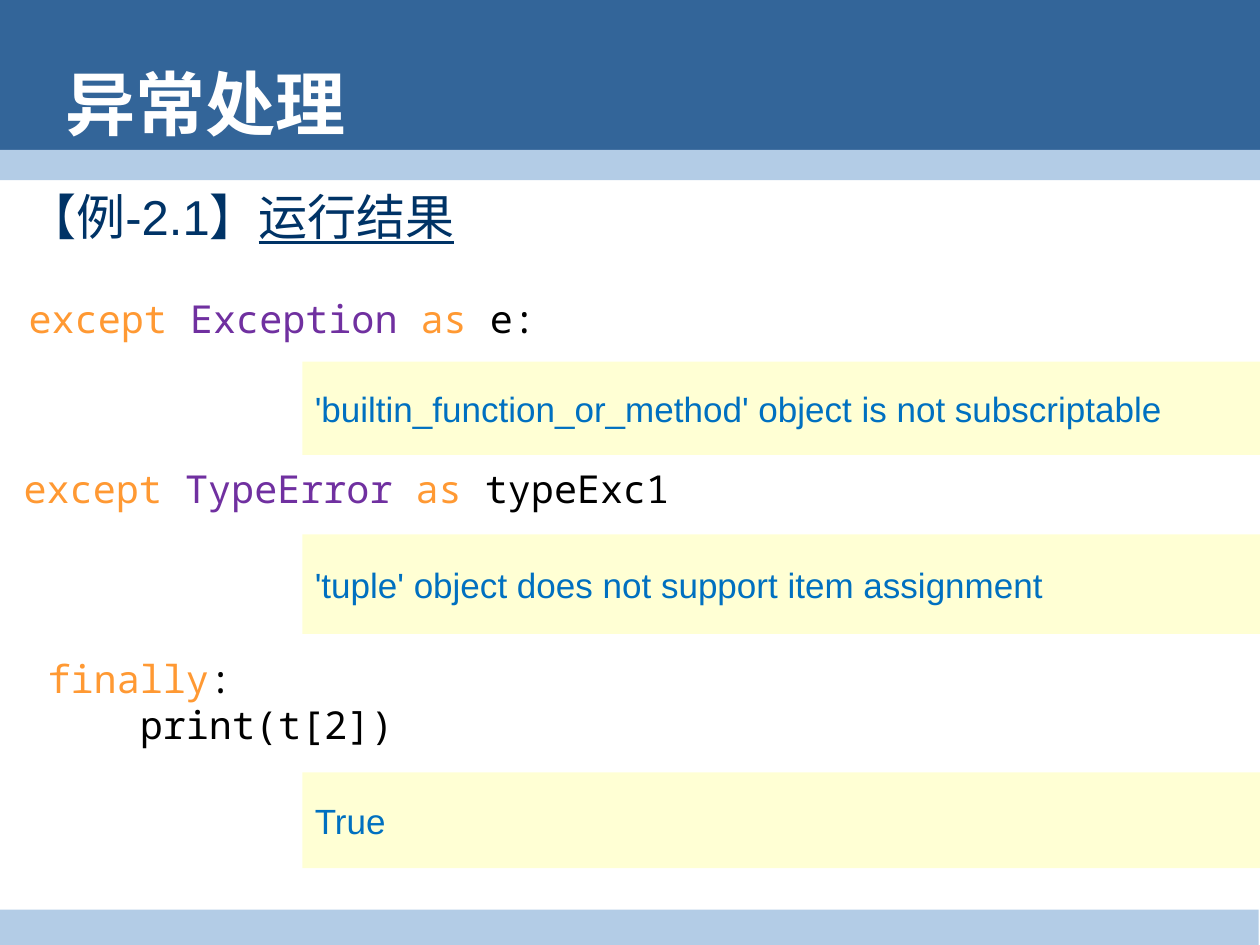
import pptx
import pptx.util
import pptx.dml.color
import pptx.enum.shapes
import pptx.enum.text
import pptx.oxml.ns
from lxml import etree

Inches = pptx.util.Inches
HUES = {
    "navy": "336599", "pale": "B3CCE6", "white": "FFFFFF", "head": "003366",
    "note": "FFFF00", "blue": "0070C0", "key": "FF9933", "type": "7030A0",
    "plain": "000000",
}
SANS, MONO = "Arial", "Noto Sans Mono"


def hue(name):
    return pptx.dml.color.RGBColor.from_string(HUES[name])


def add_bar(slide, box, fill, alpha=None):
    bar = slide.shapes.add_shape(
        pptx.enum.shapes.MSO_SHAPE.RECTANGLE, *map(Inches, box))
    bar.shadow.inherit = False
    bar.line.fill.background()
    bar.fill.solid()
    bar.fill.fore_color.rgb = hue(fill)
    if alpha:
        tone = bar.fill._xPr.find(".//" + pptx.oxml.ns.qn("a:srgbClr"))
        etree.SubElement(tone, pptx.oxml.ns.qn("a:alpha"), val=str(alpha * 1000))
    return bar


def set_font(font, size, face, tint=None):
    font.size = pptx.util.Pt(size)
    font.name = face
    if tint:
        font.color.rgb = hue(tint)


def add_text(slide, box, wrap=True):
    frame = slide.shapes.add_textbox(*map(Inches, box)).text_frame
    frame.word_wrap = wrap
    return frame


def add_frame(slide):
    add_bar(slide, (0, 0, 10, 1.31), "navy")
    add_bar(slide, (0, 1.19, 10, 0.24), "pale")
    add_bar(slide, (0, 7.22, 9.99, 0.3), "pale")


def add_title(slide, box, text):
    frame = add_text(slide, box)
    frame.vertical_anchor = pptx.enum.text.MSO_ANCHOR.MIDDLE
    para = frame.paragraphs[0]
    para.text = text
    set_font(para.font, 40, SANS, "white")
    para.font.bold = True


def add_head(slide, box, label, topic):
    para = add_text(slide, box).paragraphs[0]
    set_font(para.font, 28, SANS, "head")
    para.add_run().text = label
    run = para.add_run()
    run.text = topic
    run.font.underline = True


def add_code(slide, box, lines, wrap=False):
    frame = add_text(slide, box, wrap)
    for num, line in enumerate(lines):
        para = frame.add_paragraph() if num else frame.paragraphs[0]
        set_font(para.font, 22, MONO)
        for text, tint in line:
            run = para.add_run()
            run.text = text
            run.font.color.rgb = hue(tint)


def add_note(slide, top, high, text):
    bar = add_bar(slide, (2.4, top, 8.19, high), "note", 17)
    frame = bar.text_frame
    frame.word_wrap = True
    frame.vertical_anchor = pptx.enum.text.MSO_ANCHOR.MIDDLE
    para = frame.paragraphs[0]
    para.text = text
    para.alignment = pptx.enum.text.PP_ALIGN.LEFT
    set_font(para.font, 20, SANS, "blue")


def catch(kind, name):
    return [[("except ", "key"), (kind + " ", "type"),
             ("as", "key"), (" " + name, "plain")]]


def main():
    deck = pptx.Presentation()
    deck.slide_width, deck.slide_height = Inches(10), Inches(7.5)
    slide = deck.slides.add_slide(deck.slide_layouts[6])
    add_frame(slide)
    add_title(slide, (0.42, 0.52, 9.06, 0.58), "异常处理")
    add_head(slide, (0.12, 1.43, 9.78, 0.7), "【例-2.1】", "运行结果")
    add_code(slide, (0.13, 2.29, 4.24, 0.47), catch("Exception", "e:"))
    add_note(slide, 2.87, 0.74,
             "'builtin_function_or_method' object is not subscriptable")
    add_code(slide, (0.09, 3.64, 5.34, 0.47), catch("TypeError", "typeExc1"))
    add_note(slide, 4.24, 0.79, "'tuple' object does not support item assignment")
    add_code(slide, (0.28, 5.15, 5, 0.84),
             [[("finally", "key"), (":", "plain")],
              [("    print(t[2])", "plain")]], True)
    add_note(slide, 6.13, 0.76, "True")
    deck.save("out.pptx")


if __name__ == "__main__":
    main()
